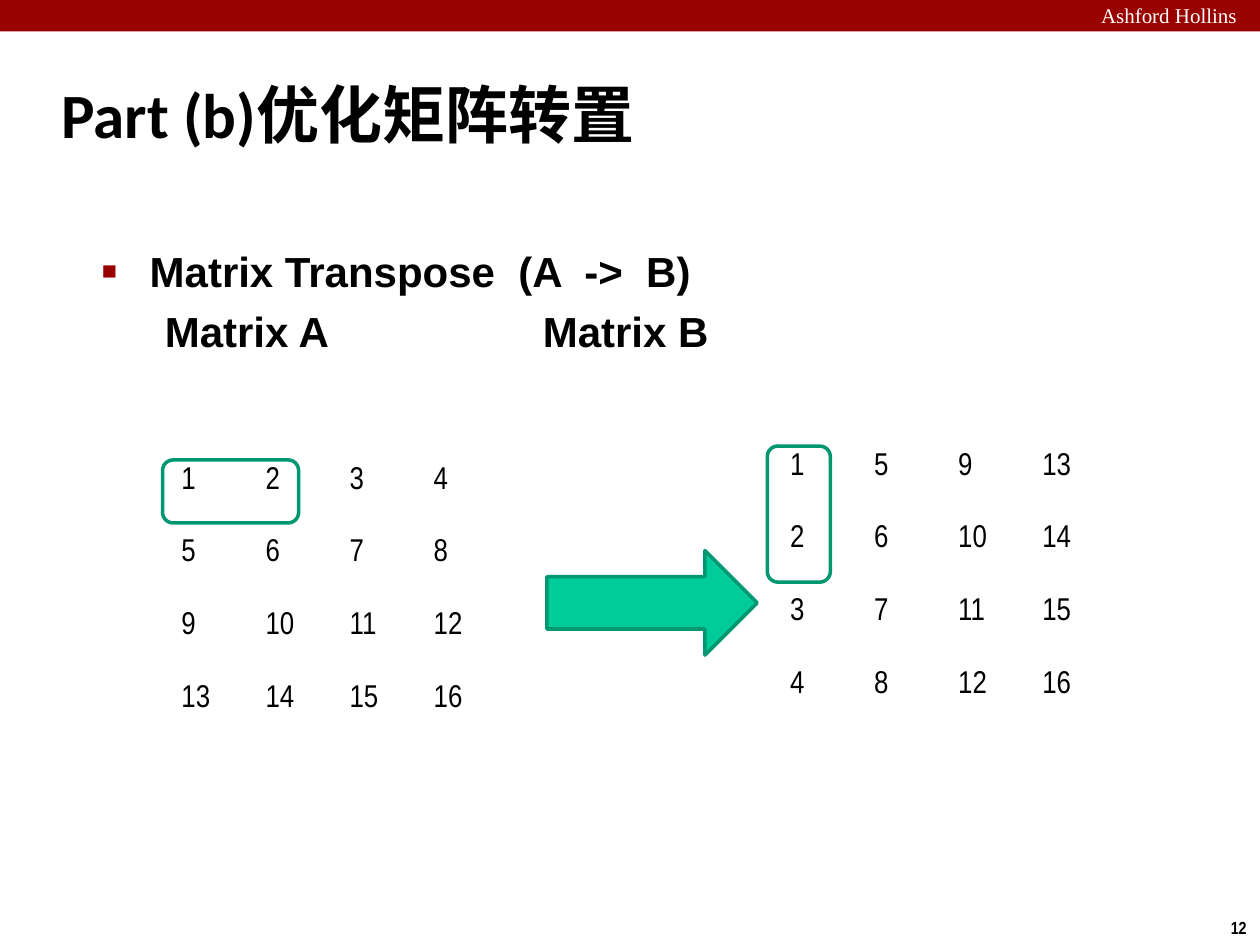
from lxml import etree
from pptx import Presentation
from pptx.dml.color import RGBColor
from pptx.enum.shapes import MSO_SHAPE
from pptx.enum.text import MSO_ANCHOR
from pptx.oxml.ns import qn
from pptx.util import Inches, Pt

RECTANGLE = MSO_SHAPE.RECTANGLE
ROUNDED = MSO_SHAPE.ROUNDED_RECTANGLE
ARROW = MSO_SHAPE.RIGHT_ARROW
MIDDLE = MSO_ANCHOR.MIDDLE
RED, GREEN, DARK_GREEN = "990000", "00CC99", "009771"
BLACK, WHITE = "000000", "FFFFFF"


def color(value):
    return RGBColor.from_string(value)


def write(frame, lines, font, size, ink=BLACK, bold=False):
    frame.text = "\n".join(lines)
    for para in frame.paragraphs:
        para.font.name = font
        para.font.size = Pt(size)
        para.font.bold = bold
        para.font.color.rgb = color(ink)


deck = Presentation()
deck.slide_width, deck.slide_height = Inches(10), Inches(7.5)
page = deck.slides.add_slide(deck.slide_layouts[6])

# Header band
band = page.shapes.add_shape(RECTANGLE, 0, 0, Inches(10), Inches(0.25))
band.shadow.inherit = False
band.fill.solid()
band.fill.fore_color.rgb = color(RED)
band.line.fill.background()

# School name, page number, title and body
texts = [
    (8.64, -0.03, 1.43, 0.3, ["Ashford Hollins"], "Times New Roman", 12, WHITE, False),
    (9.67, 7.23, 0.34, 0.27, ["12"], "Arial Narrow", 10, BLACK, True),
    (0.39, 0.54, 8.3, 0.71, ["Part (b)优化矩阵转置"], "Calibri", 36, BLACK, True),
    (0.71, 1.9, 8.64, 5.44,
     ["Matrix Transpose  (A  ->  B)", "\tMatrix A \t\t\t\tMatrix B"],
     "Arial", 24, BLACK, True),
]
boxes = []
for left, top, width, height, *content in texts:
    box = page.shapes.add_textbox(Inches(left), Inches(top), Inches(width), Inches(height))
    box.text_frame.word_wrap = True
    write(box.text_frame, *content)
    boxes.append(box)
school, number, title, body = boxes
number.text_frame.word_wrap = False
title.text_frame.vertical_anchor = MIDDLE

# Body spacing and the square bullet
for para in body.text_frame.paragraphs:
    para.space_before = Pt(5.5)
properties = body.text_frame.paragraphs[0]._p.get_or_add_pPr()
properties.set("marL", str(Inches(0.38)))
properties.set("indent", str(-Inches(0.38)))
bullet_color = etree.SubElement(properties, qn("a:buClr"))
etree.SubElement(bullet_color, qn("a:srgbClr"), val=RED)
etree.SubElement(properties, qn("a:buSzPct"), val="60000")
etree.SubElement(properties, qn("a:buFont"), typeface="Arial")
etree.SubElement(properties, qn("a:buChar"), char="■")
# The default run properties must follow the bullet
properties.append(properties.find(qn("a:defRPr")))

# Matrix A and its transpose
matrix_a = [[4 * row + column + 1 for column in range(4)] for row in range(4)]
matrix_b = list(zip(*matrix_a))
for left, top, matrix in [(1.34, 3.65, matrix_a), (6.17, 3.54, matrix_b)]:
    table = page.shapes.add_table(4, 4, Inches(left), Inches(top),
                                  Inches(2.67), Inches(2.31)).table
    table.first_row = False
    table.horz_banding = False
    for row, values in enumerate(matrix):
        for column, value in enumerate(values):
            cell = table.cell(row, column)
            cell.fill.background()
            write(cell.text_frame, [str(value)], "Arial Narrow", 18)

# Highlights around the first two elements, and the arrow from A to B
outlines = [
    (ROUNDED, 6.09, 3.54, 0.5, 1.08, 0, None),
    (ARROW, 4.34, 4.37, 1.67, 0.83, 0, GREEN),
    (ROUNDED, 1.58, 3.36, 0.5, 1.08, 270, None),
]
for kind, left, top, width, height, rotation, fill in outlines:
    shape = page.shapes.add_shape(kind, Inches(left), Inches(top),
                                  Inches(width), Inches(height))
    shape.shadow.inherit = False
    shape.rotation = rotation
    shape.line.color.rgb = color(DARK_GREEN)
    shape.line.width = Pt(2)
    if fill:
        shape.fill.solid()
        shape.fill.fore_color.rgb = color(fill)
    else:
        shape.fill.background()

deck.save("out.pptx")
